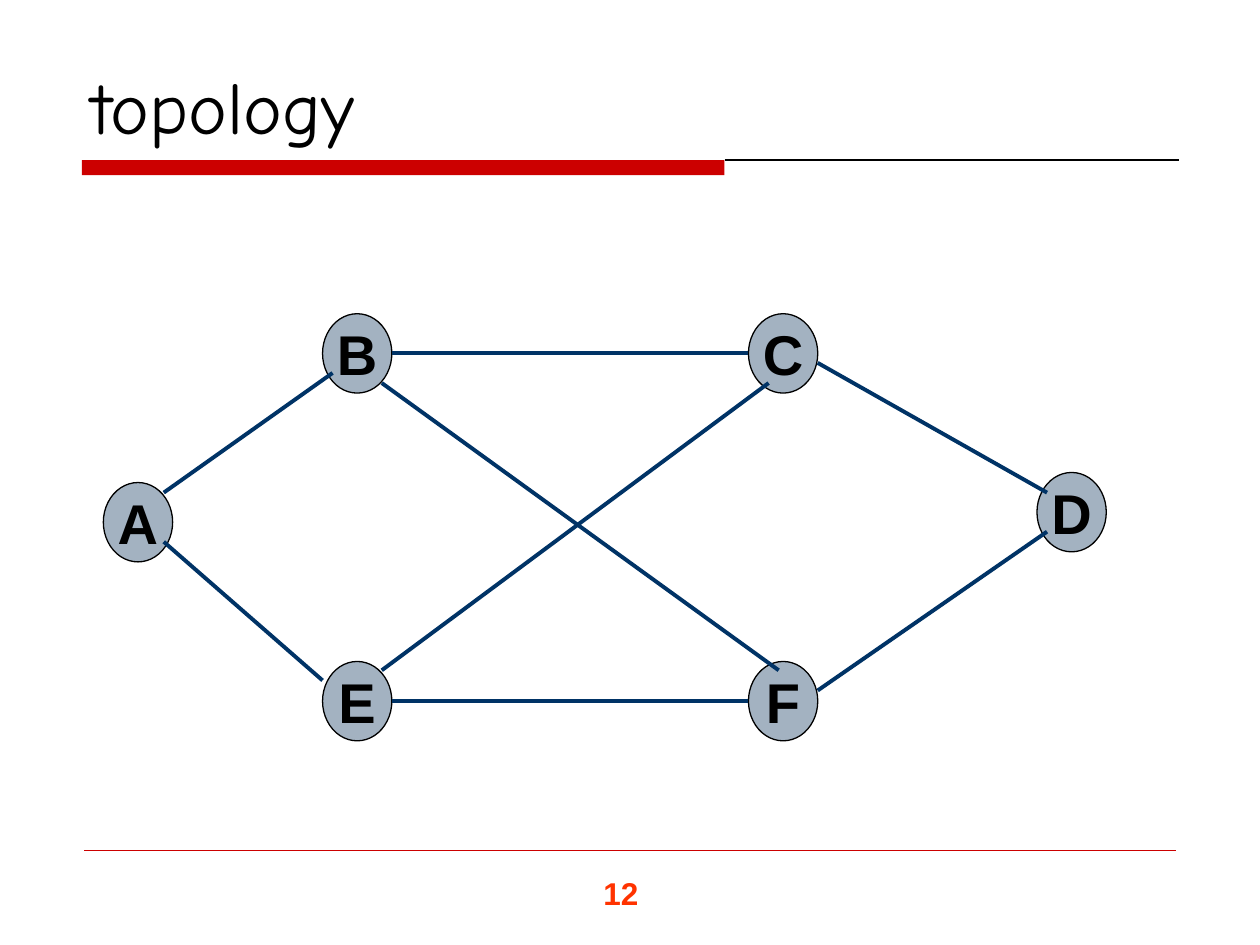
import pptx
import pptx.util
import pptx.dml.color
import pptx.enum.shapes
import pptx.enum.text
import pptx.oxml
import pptx.oxml.ns

Inches = pptx.util.Inches
Anchor = pptx.enum.text.MSO_ANCHOR
Align = pptx.enum.text.PP_ALIGN
Shape = pptx.enum.shapes.MSO_SHAPE

THEME = {
    "title_font": "Comic Neue", "body_font": "Arial",
    "title_size": 42, "node_size": 32, "number_size": 18,
    "ink": "000000", "accent": "CC0000", "number": "FF3300",
    "node": "A3B2C1", "link": "003366",
}

TITLE = "topology"
PAGE_NUMBER = "12"
NODE_WIDTH, NODE_HEIGHT = 0.55, 0.63
UPPER, LOWER = 2.49, 5.25
INNER_LEFT, INNER_RIGHT = 2.56, 5.94
NODES = {
    "A": (0.82, 3.83),
    "E": (INNER_LEFT, LOWER),
    "B": (INNER_LEFT, UPPER),
    "F": (INNER_RIGHT, LOWER),
    "C": (INNER_RIGHT, UPPER),
    "D": (8.23, 3.75),
}
LINKS = [
    ("A", (0.48, 0.08), "B", (0.08, 0.47)),
    ("A", (0.48, 0.47), "E", (0, 0.15)),
    ("E", (0.55, 0.31), "F", (0, 0.31)),
    ("B", (0.55, 0.31), "C", (0, 0.31)),
    ("F", (0.55, 0.23), "D", (0.08, 0.47)),
    ("C", (0.55, 0.39), "D", (0.08, 0.16)),
    ("B", (0.47, 0.55), "F", (0.24, 0.07)),
    ("E", (0.47, 0.07), "C", (0.16, 0.55)),
]


def rgb(name):
    return pptx.dml.color.RGBColor.from_string(THEME[name])


def write_text(box, text, *, font="body_font", size, color="ink", bold=False,
               align=Align.LEFT, anchor=Anchor.TOP, wrap=True):
    frame = box.text_frame
    frame.word_wrap = wrap
    frame.vertical_anchor = anchor
    para = frame.paragraphs[0]
    para.alignment = align
    span = para.add_run()
    span.text = text
    span.font.name = THEME[font]
    span.font.size = pptx.util.Pt(THEME[size])
    span.font.bold = bold
    span.font.color.rgb = rgb(color)


def add_filled(shapes, kind, place, fill):
    shape = shapes.add_shape(kind, *map(Inches, place))
    shape.shadow.inherit = False
    shape.fill.solid()
    shape.fill.fore_color.rgb = rgb(fill)
    return shape


def add_line(shapes, start, end, color, width):
    line = shapes.add_connector(pptx.enum.shapes.MSO_CONNECTOR.STRAIGHT,
                                *map(Inches, (*start, *end)))
    line.line.color.rgb = rgb(color)
    line.line.width = pptx.util.Pt(width)
    properties = line._element.spPr
    properties.append(pptx.oxml.parse_xml(
        "<a:effectLst %s/>" % pptx.oxml.ns.nsdecls("a")))


def node_point(name, offset):
    return tuple(corner + shift for corner, shift in zip(NODES[name], offset))


def add_frame(page):
    shapes = page.shapes
    add_line(shapes, (5.75, 1.27), (9.36, 1.27), "ink", 0.75)
    bar = add_filled(shapes, Shape.RECTANGLE, (0.65, 1.27, 5.1, 0.12), "accent")
    bar.line.fill.background()
    add_line(shapes, (0.67, 6.75), (9.33, 6.75), "accent", 0.25)
    number = shapes.add_textbox(*map(Inches, (4.69, 6.89, 0.75, 0.4)))
    write_text(number, PAGE_NUMBER, size="number_size", color="number", bold=True)
    title = shapes.add_textbox(*map(Inches, (0.63, 0.33, 8.75, 0.9)))
    write_text(title, TITLE, font="title_font", size="title_size",
               anchor=Anchor.BOTTOM)


def add_network(page):
    network = page.shapes.add_group_shape()
    for name, corner in NODES.items():
        node = add_filled(network.shapes, Shape.OVAL,
                          (*corner, NODE_WIDTH, NODE_HEIGHT), "node")
        node.line.color.rgb = rgb("ink")
        node.line.width = pptx.util.Pt(0.75)
        write_text(node, name, size="node_size", bold=True,
                   align=Align.CENTER, anchor=Anchor.MIDDLE, wrap=False)
    for source, leave, target, arrive in LINKS:
        add_line(network.shapes, node_point(source, leave),
                 node_point(target, arrive), "link", 2.25)


def main():
    deck = pptx.Presentation()
    deck.slide_width, deck.slide_height = Inches(10), Inches(7.5)
    page = deck.slides.add_slide(deck.slide_layouts[6])
    add_frame(page)
    add_network(page)
    deck.save("out.pptx")


if __name__ == "__main__":
    main()
